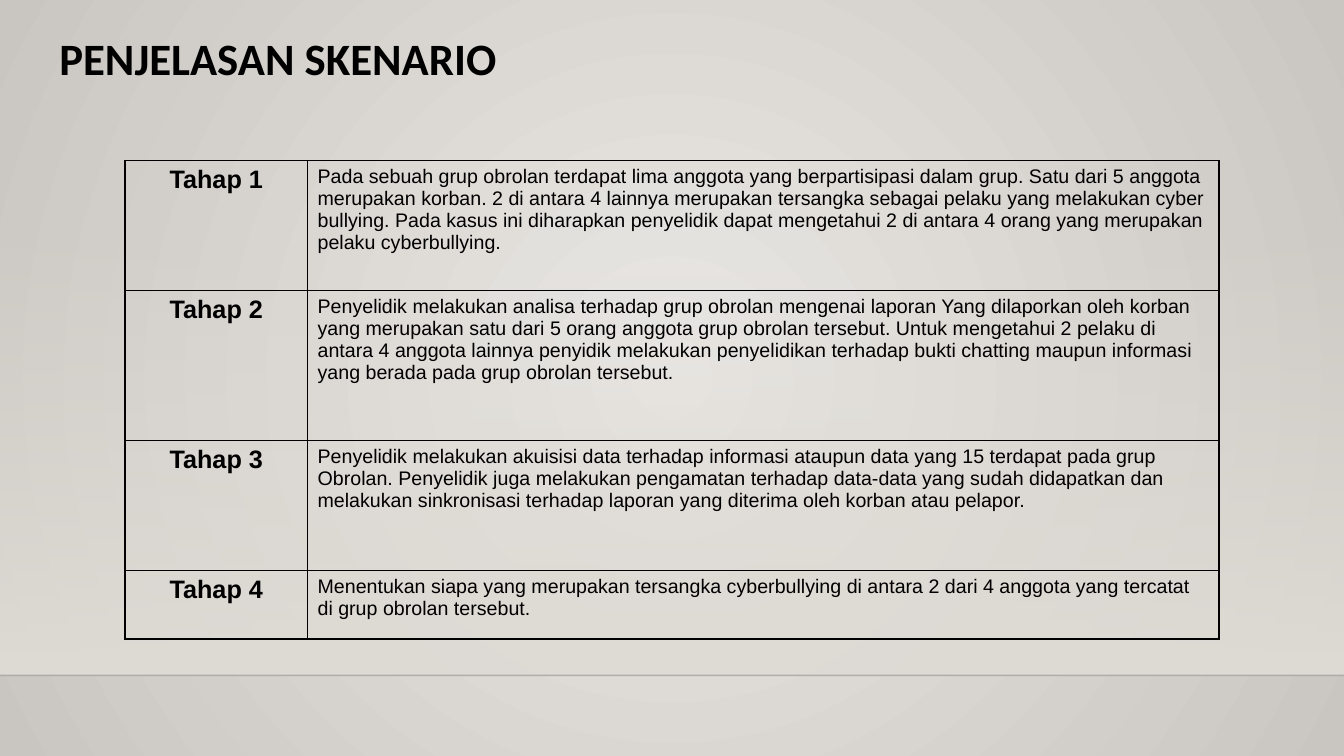
from lxml.etree import SubElement
from pptx import Presentation
from pptx.dml.color import RGBColor
from pptx.enum.shapes import MSO_CONNECTOR, MSO_SHAPE
from pptx.enum.text import MSO_ANCHOR, PP_ALIGN
from pptx.oxml.ns import qn
from pptx.util import Inches, Pt

BLACK = RGBColor(0x00, 0x00, 0x00)
FLOOR_EDGE = RGBColor(0x00, 0x00, 0x01)
FLOOR = RGBColor(0xDF, 0xDB, 0xD5)
GLOW_CENTRE = RGBColor(0xEB, 0xE9, 0xE6)
GLOW_RIM = RGBColor(0xC9, 0xC5, 0xC0)

SLIDE_WIDTH, SLIDE_HEIGHT = 13.33, 7.5
COLUMN_WIDTHS = (1.81, 9.04)
STAGES = [
    ("Tahap 1", 1.29,
     "Pada sebuah grup obrolan terdapat lima anggota yang berpartisipasi dalam grup. "
     "Satu dari 5 anggota merupakan korban. 2 di antara 4 lainnya merupakan tersangka "
     "sebagai pelaku yang melakukan cyber bullying. Pada kasus ini diharapkan penyelidik "
     "dapat mengetahui 2 di antara 4 orang yang merupakan pelaku cyberbullying."),
    ("Tahap 2", 1.49,
     "Penyelidik melakukan analisa terhadap grup obrolan mengenai laporan Yang dilaporkan "
     "oleh korban yang merupakan satu dari 5 orang anggota grup obrolan tersebut. Untuk "
     "mengetahui 2 pelaku di antara 4 anggota lainnya penyidik melakukan penyelidikan "
     "terhadap bukti chatting maupun informasi yang berada pada grup obrolan tersebut."),
    ("Tahap 3", 1.29,
     "Penyelidik melakukan akuisisi data terhadap informasi ataupun data yang 15 terdapat "
     "pada grup Obrolan. Penyelidik juga melakukan pengamatan terhadap data-data yang sudah "
     "didapatkan dan melakukan sinkronisasi terhadap laporan yang diterima oleh korban atau "
     "pelapor."),
    ("Tahap 4", 0.68,
     "Menentukan siapa yang merupakan tersangka cyberbullying di antara 2 dari 4 anggota "
     "yang tercatat di grup obrolan tersebut."),
]


def set_alpha(colour_element, percent):
    SubElement(colour_element, qn("a:alpha"), val=str(percent * 1000))


def set_gradient(fill, owner, start, end):
    """Give a fill two colours and return its gradient element."""
    fill.gradient()
    for stop, position, colour in zip(fill.gradient_stops, (0, 1), (start, end)):
        stop.position = position
        stop.color.rgb = colour
    gradient = next(owner.iter(qn("a:gradFill")))
    gradient.remove(gradient.find(qn("a:lin")))
    return gradient


def add_run(paragraph, text, font_name, size, bold=False):
    run = paragraph.add_run()
    run.text = text
    run.font.name = font_name
    run.font.size = Pt(size)
    run.font.bold = bold
    run.font.color.rgb = BLACK


def paint_background(slide):
    gradient = set_gradient(slide.background.fill, slide.element, GLOW_CENTRE, GLOW_RIM)
    glow = SubElement(gradient, qn("a:path"), path="circle")
    SubElement(glow, qn("a:fillToRect"), l="50000", t="50000", r="50000", b="50000")


def add_floor(slide, left, top, width, height):
    # Wall fading in towards the floor
    wall = slide.shapes.add_shape(MSO_SHAPE.RECTANGLE, Inches(left), Inches(top),
                                  Inches(width), Inches(height))
    wall.shadow.inherit = False
    wall.line.fill.background()
    gradient = set_gradient(wall.fill, wall.element, FLOOR, FLOOR)
    set_alpha(next(gradient.iter(qn("a:srgbClr"))), 0)
    SubElement(gradient, qn("a:lin"), ang="5400000", scaled="0")

    # Edge of the floor
    bottom = Inches(top + height)
    edge = slide.shapes.add_connector(MSO_CONNECTOR.STRAIGHT, Inches(left), bottom,
                                      Inches(left + width), bottom)
    edge.line.width = Pt(1)
    edge.line.color.rgb = FLOOR_EDGE
    set_alpha(next(edge.element.iter(qn("a:srgbClr"))), 20)
    SubElement(edge.element.spPr, qn("a:effectLst"))


def add_title(slide, left, top, width, height):
    title = slide.shapes.add_textbox(Inches(left), Inches(top), Inches(width), Inches(height))
    frame = title.text_frame
    frame.word_wrap = True
    frame.vertical_anchor = MSO_ANCHOR.TOP
    paragraph = frame.paragraphs[0]
    paragraph.line_spacing = 0.9
    add_run(paragraph, "PENJELASAN SKENARIO", "Calibri", 32, bold=True)


def style_cell(cell):
    properties = cell._tc.get_or_add_tcPr()
    for side in ("a:lnL", "a:lnR", "a:lnT", "a:lnB"):
        border = SubElement(properties, qn(side), w=str(Pt(1)))
        border_fill = SubElement(border, qn("a:solidFill"))
        SubElement(border_fill, qn("a:srgbClr"), val=str(BLACK))
    cell.fill.background()


def add_stage_table(slide, left, top):
    heights = [height for _, height, _ in STAGES]
    stage_table = slide.shapes.add_table(
        len(STAGES), len(COLUMN_WIDTHS), Inches(left), Inches(top),
        Inches(sum(COLUMN_WIDTHS)), Inches(sum(heights))).table
    stage_table.first_row = False
    stage_table.horz_banding = False
    for column, width in zip(stage_table.columns, COLUMN_WIDTHS):
        column.width = Inches(width)
    for row, (stage, height, explanation) in zip(stage_table.rows, STAGES):
        row.height = Inches(height)
        stage_cell, explanation_cell = row.cells
        style_cell(stage_cell)
        style_cell(explanation_cell)
        stage_line = stage_cell.text_frame.paragraphs[0]
        stage_line.alignment = PP_ALIGN.CENTER
        add_run(stage_line, stage, "Arial", 18, bold=True)
        add_run(explanation_cell.text_frame.paragraphs[0], explanation, "Arial", 14)


def main():
    presentation = Presentation()
    presentation.slide_width = Inches(SLIDE_WIDTH)
    presentation.slide_height = Inches(SLIDE_HEIGHT)
    slide = presentation.slides.add_slide(presentation.slide_layouts[6])
    paint_background(slide)
    add_floor(slide, 0, 2.21, SLIDE_WIDTH, 4.49)
    add_title(slide, 0.49, 0.32, 10.5, 1.15)
    add_stage_table(slide, 1.24, 1.59)
    presentation.save("out.pptx")


if __name__ == "__main__":
    main()
